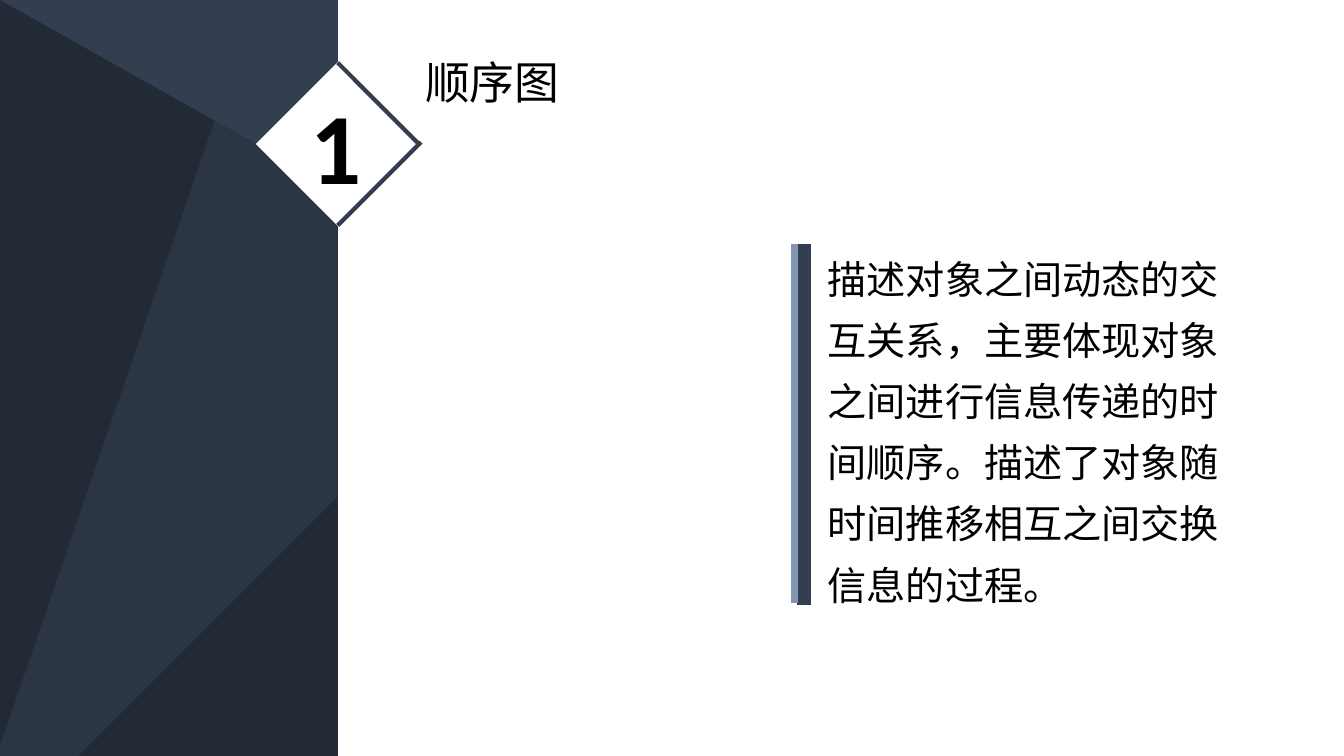
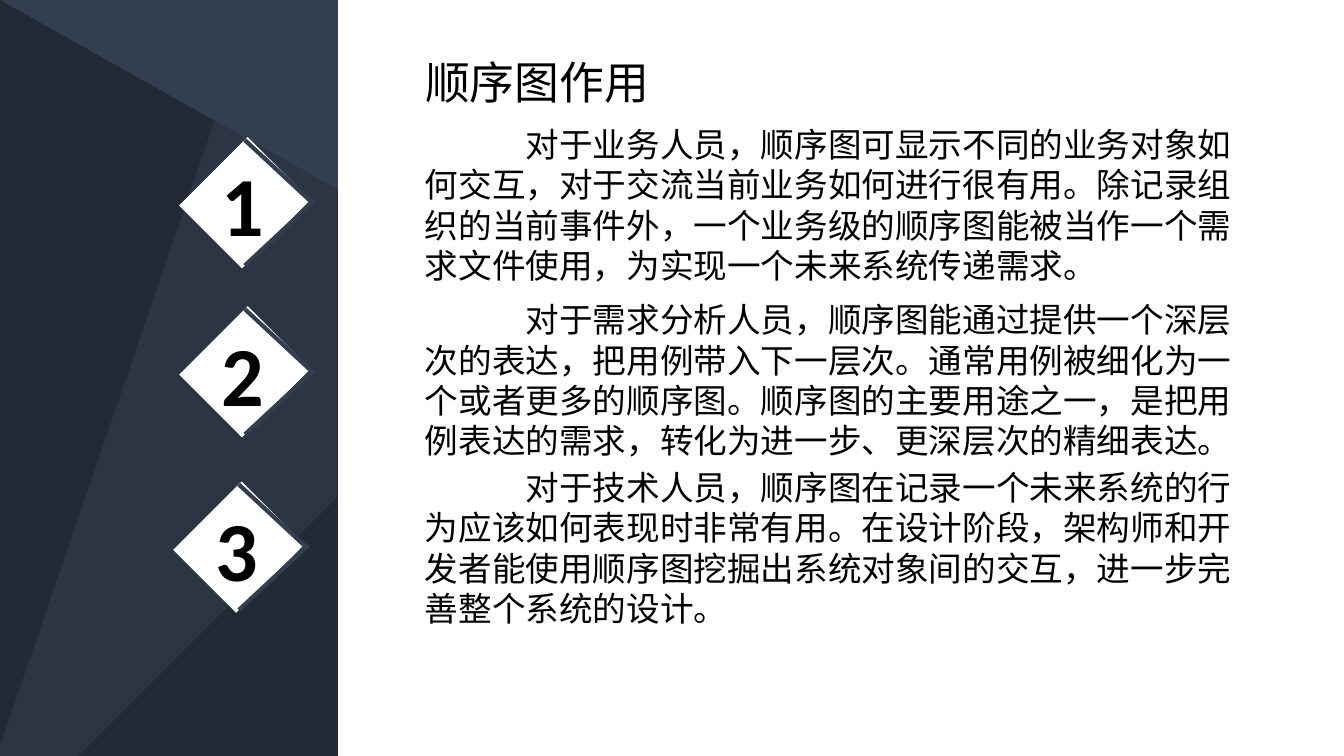
from pptx import Presentation
from pptx.dml.color import RGBColor
from pptx.enum.shapes import MSO_CONNECTOR, MSO_SHAPE
from pptx.enum.text import MSO_ANCHOR, MSO_AUTO_SIZE, PP_ALIGN
from pptx.oxml.ns import qn
from pptx.util import Cm, Pt
from lxml.etree import SubElement

COLORS = {name: RGBColor.from_string(value) for name, value in {
    "slate": "333F50", "night": "222A35", "dusk": "2B3543",
    "mist": "8497B0", "white": "FFFFFF", "black": "000000"}.items()}
HAN_FONT, LATIN_FONT = "Noto Sans CJK SC", "Calibri"
SLIDE_W, SLIDE_H, BAND_W = 33.87, 19.05, 8.51
TEXT_LEFT = 10.46


def write(box, text, size, font=HAN_FONT, bold=False, align=PP_ALIGN.LEFT, leading=None):
    """Fill a box with one paragraph; leading is the line pitch in points."""
    frame = box.text_frame
    frame.text = text
    frame.word_wrap = True
    frame.auto_size = MSO_AUTO_SIZE.NONE
    frame.vertical_anchor = MSO_ANCHOR.TOP
    paragraph = frame.paragraphs[0]
    paragraph.alignment = align
    if leading:
        paragraph.line_spacing = Pt(leading)
    run = paragraph.runs[0]
    run.font.name, run.font.size, run.font.bold = font, Pt(size), bold
    run.font.color.rgb = COLORS["black"]
    SubElement(run.font._element, qn("a:ea")).set("typeface", HAN_FONT)
    return paragraph


def draw_line(slide, x1, y1, x2, y2, color, width):
    """Draw a straight line without shadow, ends given in centimetres."""
    line = slide.shapes.add_connector(MSO_CONNECTOR.STRAIGHT, Cm(x1), Cm(y1), Cm(x2), Cm(y2))
    line.line.color.rgb = COLORS[color]
    line.line.width = Pt(width)
    SubElement(line.element.spPr, qn("a:effectLst"))


deck = Presentation()
deck.slide_width, deck.slide_height = Cm(SLIDE_W), Cm(SLIDE_H)
layout = deck.slide_layouts[5]
slides = [deck.slides.add_slide(layout) for _ in range(2)]
sequence, purpose = slides

# Shared backdrop: faceted band on the left, white page on the right
layout.background.fill.solid()
layout.background.fill.fore_color.rgb = COLORS["slate"]
facets = [
    ("night", [(0, 0), (SLIDE_W, SLIDE_H), (0, SLIDE_H)]),
    ("dusk", [(5.41, 3.04), (BAND_W, 4.79), (BAND_W, 12.52),
              (1.98, SLIDE_H), (0, SLIDE_H), (0, 18.8)]),
    ("white", [(BAND_W, 0), (SLIDE_W, 0), (SLIDE_W, SLIDE_H), (BAND_W, SLIDE_H)]),
]
for number, (color, corners) in enumerate(facets):
    start, *others = [(Cm(x), Cm(y)) for x, y in corners]
    outline = sequence.shapes.build_freeform(*start)
    outline.add_line_segments(others)
    facet = outline.convert_to_shape()
    facet.shadow.inherit = False
    facet.fill.solid()
    facet.fill.fore_color.rgb = COLORS[color]
    facet.line.fill.background()
    facet.element.xpath("p:nvSpPr/p:cNvPr")[0].set("id", str(20 + number))
    layout.shapes.element.append(facet.element)

for slide, heading in zip(slides, ["顺序图", "顺序图作用"]):
    title = slide.shapes.title
    title.left, title.top, title.width, title.height = Cm(TEXT_LEFT), Cm(1.25), Cm(10.39), Cm(1.63)
    write(title, heading, 32, leading=38.4)

# Numbered diamonds: centre, square size, reach of the edge lines, digit size
big, small = (2.92, 2.92, 2.05, 2.05, 72), (2.24, 2.44, 1.7, 1.58, 60)
badges = [
    (sequence, "1", 8.51, 3.63, big),
    (purpose, "1", 6.17, 5.11, small),
    (purpose, "2", 6.17, 9.37, small),
    (purpose, "3", 6.02, 13.79, small),
]
for slide, digit, x, y, (width, height, reach_x, reach_y, size) in badges:
    diamond = slide.shapes.add_shape(MSO_SHAPE.RECTANGLE, Cm(x - width / 2), Cm(y - height / 2),
                                     Cm(width), Cm(height))
    diamond.rotation = 45
    diamond.shadow.inherit = False
    diamond.fill.solid()
    diamond.fill.fore_color.rgb = COLORS["white"]
    diamond.line.fill.background()
    draw_line(slide, x, y - reach_y, x + reach_x, y, "slate", 3)
    draw_line(slide, x + reach_x + 0.05, y - 0.05, x, y + reach_y, "slate", 3)
    box_h = size * 0.046
    label = slide.shapes.add_textbox(Cm(x - 1), Cm(y - box_h / 2), Cm(1.9), Cm(box_h))
    write(label, digit, size, LATIN_FONT, True, PP_ALIGN.CENTER)

# Slide 1: definition beside a double bar
draw_line(sequence, 20.27, 6.15, 20.27, 15.24, "slate", 10)
draw_line(sequence, 20.02, 6.15, 20.02, 15.19, "mist", 5)
definition = sequence.shapes.add_textbox(Cm(20.68), Cm(5.97), Cm(10.82), Cm(9.37))
frame = definition.text_frame
frame.margin_left = frame.margin_right = Cm(0.18)
frame.margin_top = frame.margin_bottom = Cm(0.1)
write(definition, "描述对象之间动态的交互关系，主要体现对象之间进行信息传递的时间顺序。"
      "描述了对象随时间推移相互之间交换信息的过程。", 28, leading=43.7)

# Slide 2: one paragraph for each audience
audiences = [
    (3, "对于业务人员，顺序图可显示不同的业务对象如何交互，对于交流当前业务如何进行很有用。"
        "除记录组织的当前事件外，一个业务级的顺序图能被当作一个需求文件使用，"
        "为实现一个未来系统传递需求。"),
    (7.42, "对于需求分析人员，顺序图能通过提供一个深层次的表达，把用例带入下一层次。"
           "通常用例被细化为一个或者更多的顺序图。顺序图的主要用途之一，"
           "是把用例表达的需求，转化为进一步、更深层次的精细表达。"),
    (11.64, "对于技术人员，顺序图在记录一个未来系统的行为应该如何表现时非常有用。"
            "在设计阶段，架构师和开发者能使用顺序图挖掘出系统对象间的交互，"
            "进一步完善整个系统的设计。"),
]
for top, benefit in audiences:
    box = purpose.shapes.add_textbox(Cm(TEXT_LEFT), Cm(top), Cm(21.51), Cm(4.37))
    paragraph = write(box, benefit, 24, LATIN_FONT, leading=28.8)
    paragraph._p.get_or_add_pPr().set("indent", str(Cm(2.54)))

deck.save("out.pptx")
